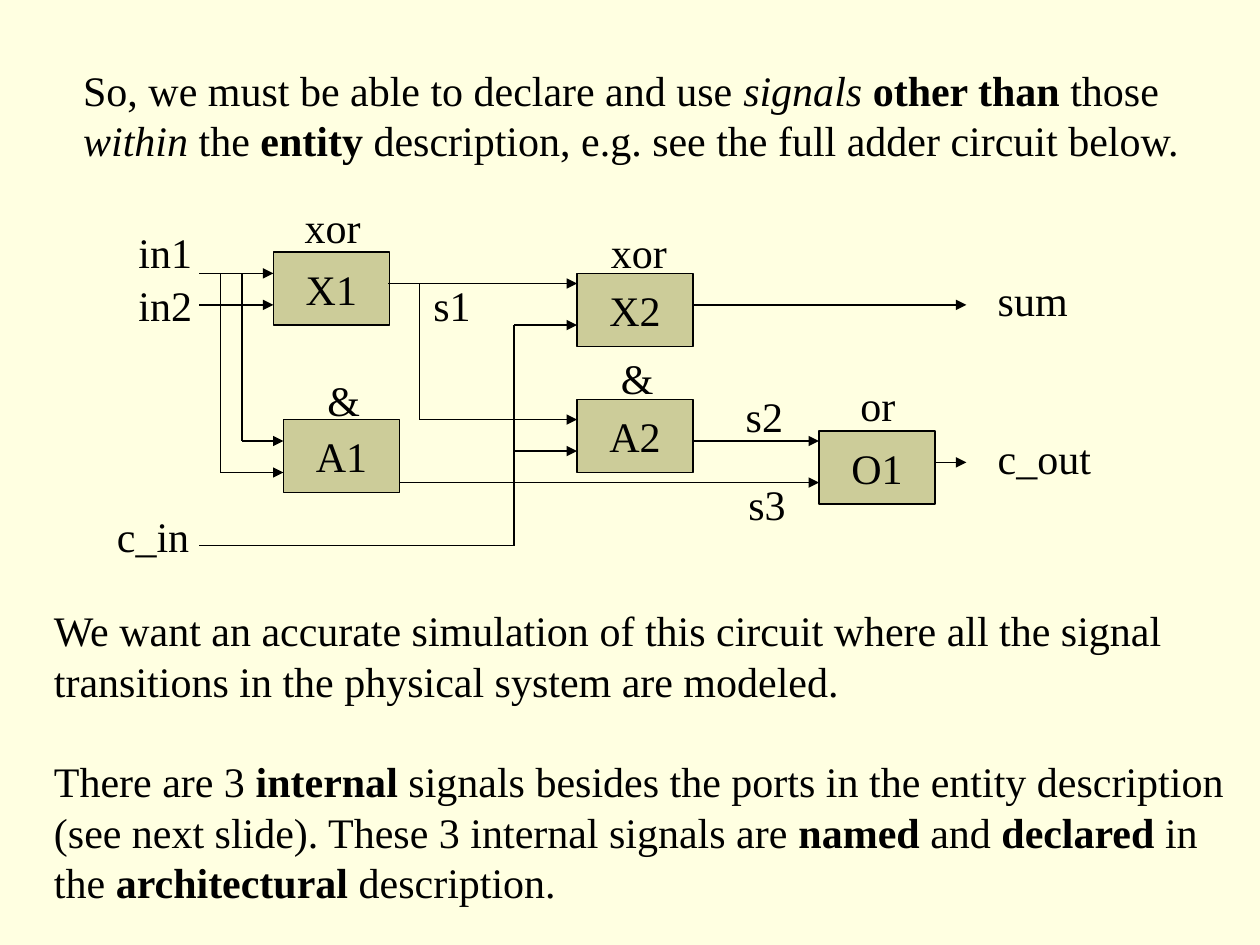
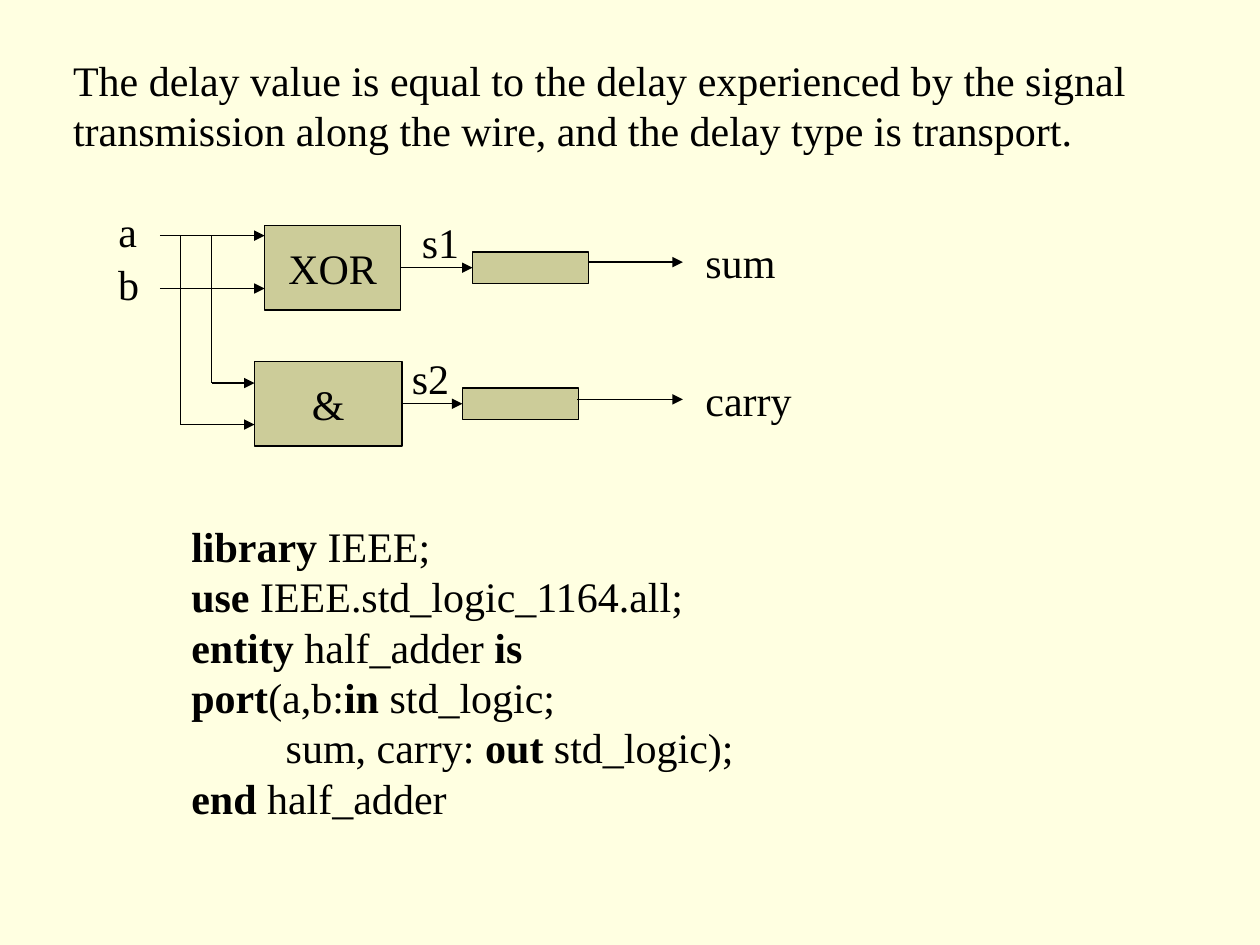
"""Build two slides on adder circuits and their VHDL signals."""
import pptx
import pptx.util
import pptx.dml.color
import pptx.enum.shapes
import pptx.enum.text
import pptx.oxml.ns
import lxml.etree
from itertools import pairwise

Inches = pptx.util.Inches
Pt = pptx.util.Pt
RGBColor = pptx.dml.color.RGBColor
Align = pptx.enum.text.PP_ALIGN
Anchor = pptx.enum.text.MSO_ANCHOR
qn = pptx.oxml.ns.qn

CREAM = RGBColor(0xFF, 0xFF, 0xE1)
KHAKI = RGBColor(0xCC, 0xCC, 0x99)
BLACK = RGBColor(0, 0, 0)
FONT = "Times New Roman"
SIZE = 24
GAP = 28.8
ROW = 0.5

FULL = {
    "title": ((0.56, 0.46, 8.92, 0.9), [
        "So, we must be able to declare and use ~signals ~*other than* those",
        "~within~ the *entity* description, e.g. see the full adder circuit below.",
    ]),
    "gates": {
        "X1": ("X1", 2.17, 2, 0.92, 0.58),
        "A1": ("A1", 2.25, 3.33, 0.92, 0.58),
        "O1": ("O1", 6.5, 3.42, 0.92, 0.58),
        "A2": ("A2", 4.58, 3.17, 0.92, 0.58),
        "X2": ("X2", 4.58, 2.17, 0.92, 0.58),
    },
    "wires": [
        [(1.58, 2.17), (2.17, 2.17)],
        [(1.58, 2.42), (2.17, 2.42)],
        [(1.92, 2.17), (1.92, 3.5), (2.25, 3.5)],
        [(1.75, 2.17), (1.75, 3.75), (2.25, 3.75)],
        [(3.08, 2.25), (4.58, 2.25)],
        [(3.33, 2.25), (3.33, 3.33), (4.58, 3.33)],
        [(1.58, 4.33), (4.08, 4.33), (4.08, 2.58), (4.58, 2.58)],
        [(4.08, 3.58), (4.58, 3.58)],
        [(3.17, 3.83), (6.5, 3.83)],
        [(5.5, 3.5), (6.5, 3.5)],
        [(7.42, 3.67), (7.67, 3.67)],
        [(5.5, 2.42), (7.67, 2.42)],
    ],
    "joins": [],
    "labels": [
        ("xor", 2.32, 1.55, 0.64), ("&", 2.5, 2.92, 0.46),
        ("xor", 4.75, 1.75, 0.64), ("&", 4.83, 2.75, 0.46),
        ("or", 6.73, 2.96, 0.48), ("sum", 7.82, 2.13, 0.75),
        ("c_out", 7.82, 3.38, 0.94), ("in1", 1, 1.75, 0.62),
        ("in2", 1, 2.17, 0.62), ("c_in", 0.83, 4, 0.77),
        ("s1", 3.34, 2.17, 0.49), ("s2", 5.82, 3.05, 0.49),
        ("s3", 5.84, 3.75, 0.49),
    ],
    "notes": ((0.33, 4.75, 9.48, 2.5), [
        "We want an accurate simulation of this circuit where all the signal",
        "transitions in the physical system are modeled.",
        "There are 3 *internal* signals besides the ports in the entity description",
        "(see next slide). These 3 internal signals are *named* and *declared* in",
        "the *architectural* description.",
    ], {2: GAP}),
}

HALF = {
    "title": ((0.48, 0.38, 8.56, 0.9), [
        "The delay value is equal to the delay experienced by the signal",
        "transmission along the wire, and the delay type is transport.",
    ]),
    "gates": {
        "xor": ("XOR", 2.1, 1.79, 1.08, 0.67),
        "and": ("&", 2.02, 2.87, 1.17, 0.67),
        "lag2": ("", 3.67, 3.08, 0.92, 0.25),
        "lag1": ("", 3.75, 2, 0.92, 0.25),
    },
    "wires": [
        [(1.27, 1.87), (2.1, 1.87)],
        [(1.27, 2.29), (2.1, 2.29)],
        [(1.43, 1.87), (1.43, 3.37), (2.02, 3.37)],
        [(1.68, 1.87), (1.68, 3.04), (2.02, 3.04)],
        [(4.67, 2.08), (5.42, 2.08)],
        [(4.58, 3.17), (5.42, 3.17)],
    ],
    "joins": [("xor", "lag1"), ("and", "lag2")],
    "labels": [
        ("a", 0.84, 1.58, 0.35), ("b", 0.84, 2, 0.36),
        ("sum", 5.5, 1.83, 0.75), ("carry", 5.5, 2.92, 0.88),
        ("s1", 3.25, 1.67, 0.49), ("s2", 3.17, 2.75, 0.49),
    ],
    "notes": ((1.42, 4.08, 4.5, 2.5), [
        "*library* IEEE;",
        "*use* IEEE.std_logic_1164.all;",
        "*entity* half_adder *is*",
        "*port*(a,b:*in* std_logic;",
        "         sum, carry: *out* std_logic);",
        "*end* half_adder",
    ], {}),
}


def write(shape, lines, align=Align.LEFT, anchor=Anchor.TOP, gaps={}):
    """Fill a shape with lines, where *bold* and ~italic~ are marked."""
    frame = shape.text_frame
    frame.word_wrap = False
    frame.auto_size = pptx.enum.text.MSO_AUTO_SIZE.NONE
    frame.vertical_anchor = anchor
    for row, line in enumerate(lines):
        para = frame.add_paragraph() if row else frame.paragraphs[0]
        para.alignment = align
        para.space_before = Pt(gaps.get(row, 0))
        for b, part in enumerate(line.split("*")):
            for i, bit in enumerate(part.split("~")):
                if bit:
                    run = para.add_run()
                    run.text = bit
                    font = run.font
                    font.name, font.size = FONT, Pt(SIZE)
                    font.bold, font.italic = b % 2 == 1, i % 2 == 1
                    font.color.rgb = BLACK


def add_box(slide, at, lines, **style):
    """Add a text box."""
    box = slide.shapes.add_textbox(*map(Inches, at))
    write(box, lines, **style)


def add_gate(slide, text, *at):
    """Add a filled rectangle with a centred name."""
    kind = pptx.enum.shapes.MSO_SHAPE.RECTANGLE
    gate = slide.shapes.add_shape(kind, *map(Inches, at))
    gate.shadow.inherit = False
    gate.fill.solid()
    gate.fill.fore_color.rgb = KHAKI
    gate.line.color.rgb = BLACK
    gate.line.width = Pt(0.75)
    if text:
        write(gate, [text], align=Align.CENTER, anchor=Anchor.MIDDLE)
    return gate


def add_line(slide, start, end, arrow):
    """Add one straight piece of wire."""
    kind = pptx.enum.shapes.MSO_CONNECTOR.STRAIGHT
    line = slide.shapes.add_connector(kind, *map(Inches, start + end))
    line.line.color.rgb = BLACK
    line.line.width = Pt(0.75)
    props = line.element.spPr
    if arrow:
        stroke = props.find(qn("a:ln"))
        lxml.etree.SubElement(stroke, qn("a:tailEnd"), type="triangle")
    lxml.etree.SubElement(props, qn("a:effectLst"))
    return line


def add_slide(deck, data):
    """Draw one circuit slide from its data."""
    slide = deck.slides.add_slide(deck.slide_layouts[5])
    at, lines = data["title"]
    title = slide.shapes.title
    title.left, title.top, title.width, title.height = map(Inches, at)
    write(title, lines)
    gates = {key: add_gate(slide, *gate) for key, gate in data["gates"].items()}
    for wire in data["wires"]:
        for start, end in pairwise(wire):
            add_line(slide, start, end, end == wire[-1])
    for left, right in data["joins"]:
        line = add_line(slide, (0, 0), (1, 1), True)
        line.begin_connect(gates[left], 3)
        line.end_connect(gates[right], 1)
    for text, x, y, width in data["labels"]:
        add_box(slide, (x, y, width, ROW), [text])
    at, lines, gaps = data["notes"]
    add_box(slide, at, lines, gaps=gaps)


def main():
    """Build and save the deck."""
    deck = pptx.Presentation()
    deck.slide_width, deck.slide_height = Inches(10), Inches(7.5)
    fill = deck.slide_master.background.fill
    fill.solid()
    fill.fore_color.rgb = CREAM
    for data in (FULL, HALF):
        add_slide(deck, data)
    deck.save("out.pptx")


if __name__ == "__main__":
    main()
